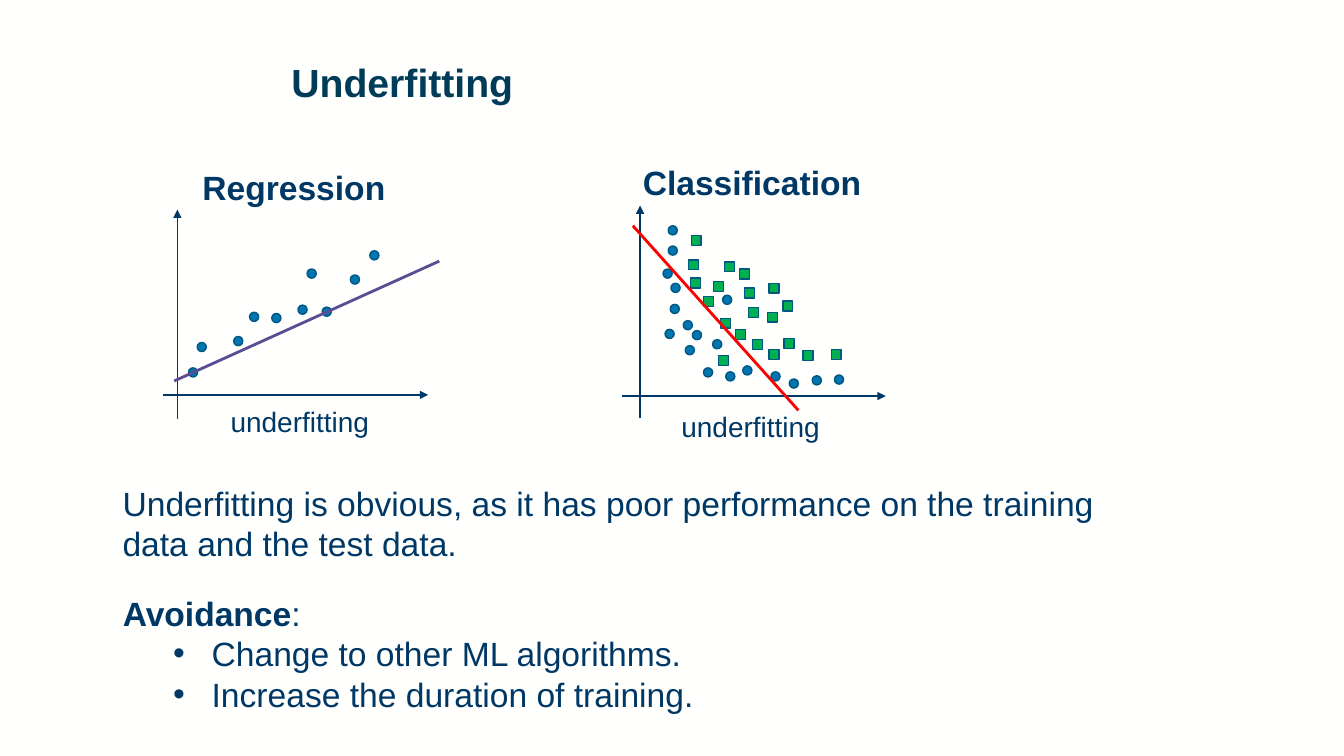
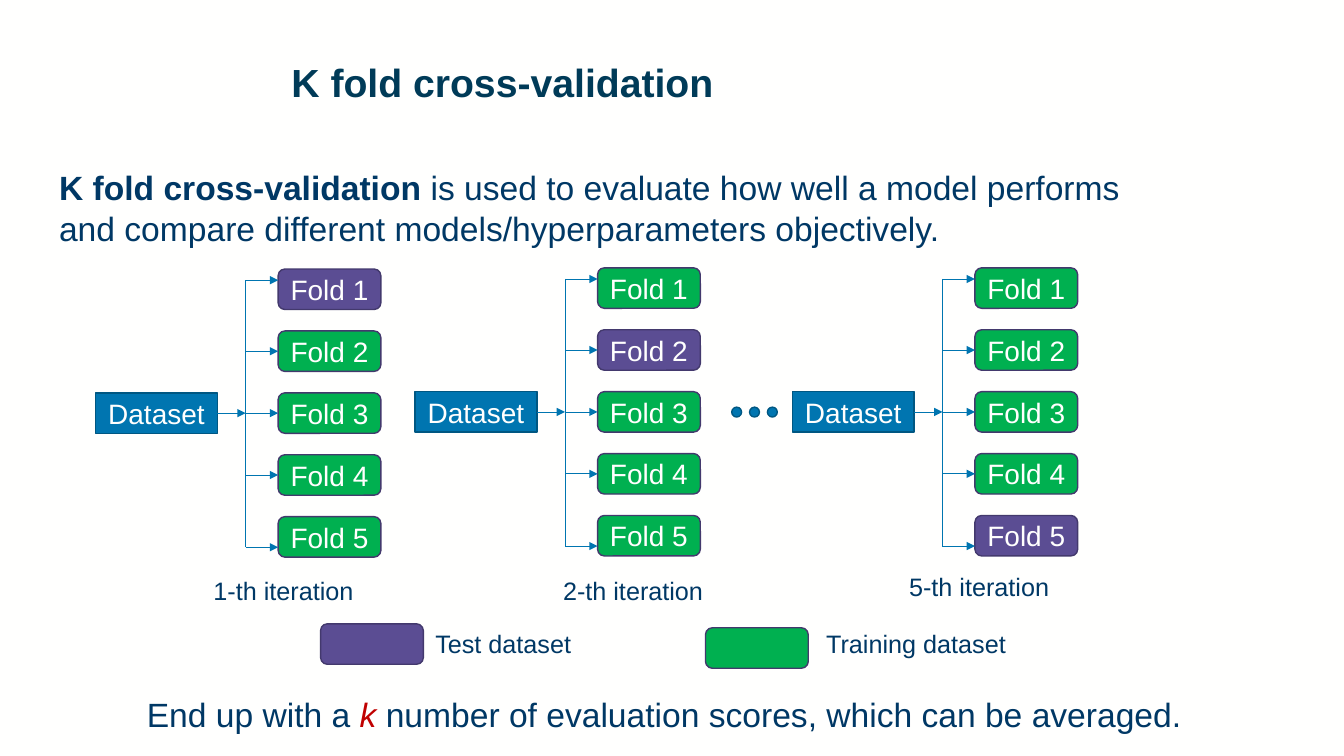
from lxml import etree
from pptx import Presentation
from pptx.dml.color import RGBColor
from pptx.enum import shapes, text
from pptx.oxml import ns
from pptx.util import Cm, Pt

FONT = "Arial"
PAPER, TITLE, NAVY = "FFFFFE", "003B58", "003865"
BLUE, BLUE_EDGE = "0075B0", "005782"
GREEN, PURPLE, PURPLE_EDGE = "00B050", "5B4D93", "43396D"
RED, DARK_RED = "FF0000", "C00000"
SHAPE = shapes.MSO_SHAPE

REGRESSION_DOTS = [
    (0.86, 3.35), (1.78, 3.2), (2.18, 2.59), (3.4, 2.41), (3.63, 1.5),
    (4.72, 1.65), (5.21, 1.04), (4.01, 2.46), (0.64, 3.99), (2.74, 2.62),
]
CLASS_DOTS = [
    (1.09, 3.12), (1.6, 3.53), (2.06, 4.09), (1.04, 1.6), (1.22, 2.49),
    (1.78, 3.15), (1.55, 2.9), (2.29, 3.38), (2.54, 2.26), (3.05, 4.04),
    (1.17, 0.51), (1.24, 1.96), (2.62, 4.19), (3.76, 4.19), (4.8, 4.29),
    (1.17, 1.02), (4.22, 4.37), (5.36, 4.27),
]
CLASS_SQUARES = [
    (2.59, 1.42), (2.49, 2.84), (2.87, 3.12), (3.3, 3.38), (2.97, 1.6),
    (3.1, 2.08), (1.68, 1.37), (2.31, 1.91), (2.44, 3.78), (3.71, 1.96),
    (4.06, 2.41), (3.68, 2.69), (4.09, 3.35), (3.71, 3.63), (4.57, 3.66),
    (3.2, 2.57), (2.06, 2.29), (1.75, 0.76), (1.73, 1.83), (5.28, 3.63),
]


def rgb(value):
    return RGBColor.from_string(value)


def style_font(font, size, color=NAVY, bold=False, italic=False):
    font.name = FONT
    font.size = Pt(size)
    font.color.rgb = rgb(color)
    font.bold = bold
    font.italic = italic


def write_runs(paragraph, runs, size):
    for words, look in runs:
        run = paragraph.add_run()
        run.text = words
        style_font(run.font, size, **look)


def add_label(slide, box, runs, size):
    label = slide.shapes.add_textbox(*map(Cm, box))
    label.text_frame.word_wrap = True
    write_runs(label.text_frame.paragraphs[0], runs, size)


def add_block(parent, kind, box, fill, edge, words=""):
    block = parent.shapes.add_shape(kind, *map(Cm, box))
    block.shadow.inherit = False
    block.fill.solid()
    block.fill.fore_color.rgb = rgb(fill)
    block.line.color.rgb = rgb(edge)
    block.line.width = Pt(1)
    if words:
        frame = block.text_frame
        frame.text = words
        frame.vertical_anchor = text.MSO_ANCHOR.MIDDLE
        frame.paragraphs[0].alignment = text.PP_ALIGN.CENTER
        style_font(frame.paragraphs[0].runs[0].font, 20, PAPER)
    return block


def add_line(parent, start, end, color, width, arrow=False):
    line = parent.shapes.add_connector(
        shapes.MSO_CONNECTOR.STRAIGHT, *map(Cm, start + end))
    line.line.color.rgb = rgb(color)
    line.line.width = Pt(width)
    if arrow:
        head = etree.SubElement(line.line._get_or_add_ln(), ns.qn("a:tailEnd"))
        head.set("type", "triangle")
    etree.SubElement(line._element.spPr, ns.qn("a:effectLst"))
    return line


def place_placeholder(placeholder, box):
    placeholder.left, placeholder.top, placeholder.width, placeholder.height = map(Cm, box)
    frame = placeholder.text_frame
    frame.word_wrap = True
    frame.auto_size = text.MSO_AUTO_SIZE.NONE
    frame.vertical_anchor = text.MSO_ANCHOR.TOP
    return frame


def add_titled_slide(prs, layout, words):
    slide = prs.slides.add_slide(prs.slide_layouts[layout])
    frame = place_placeholder(slide.shapes.title, (7.09, 1.47, 25.58, 2.46))
    frame.text = words
    heading = frame.paragraphs[0]
    heading.alignment = text.PP_ALIGN.LEFT
    heading.line_spacing = 0.9
    style_font(heading.runs[0].font, 28, TITLE, bold=True)
    return slide


def add_plot(slide, box, origin, fit, fit_color, dots, squares=()):
    left, top, width, height = box
    plot = slide.shapes.add_group_shape()

    def at(x, y):
        return left + x, top + y

    axis_x, axis_y = origin
    add_line(plot, at(0, axis_y), at(width, axis_y), NAVY, 1, arrow=True)
    add_line(plot, at(axis_x, height), at(axis_x, 0), NAVY, 1, arrow=True)
    for dot in dots:
        add_block(plot, SHAPE.OVAL, at(*dot) + (0.23, 0.23), BLUE, BLUE_EDGE)
    for square in squares:
        add_block(plot, SHAPE.RECTANGLE, at(*square) + (0.25, 0.25), GREEN, BLUE_EDGE)
    add_line(plot, at(*fit[0]), at(*fit[1]), fit_color, 2)


def set_bullet(paragraph, margin, indent, mark=None):
    properties = paragraph._p.get_or_add_pPr()
    properties.set("marL", str(Cm(margin)))
    properties.set("indent", str(Cm(indent)))
    if mark:
        etree.SubElement(properties, ns.qn("a:buChar")).set("char", mark)
    else:
        etree.SubElement(properties, ns.qn("a:buNone"))


def fill_avoidance(body, box, remedies):
    frame = place_placeholder(body, box)
    heading = frame.paragraphs[0]
    heading.space_before = Pt(0)
    set_bullet(heading, 0, 0)
    write_runs(heading, [("Avoidance", {"bold": True}), (":", {})], 24)
    for remedy in remedies:
        item = frame.add_paragraph()
        item.text = remedy
        item.level = 1
        item.space_before = Pt(0)
        set_bullet(item, 2.24, -0.97, "•")
        style_font(item.runs[0].font, 24)


def add_iteration(slide, left, top, test_fold, caption_offset):
    pitch, height, trunk, fold_left = 1.56, 1.02, left + 3.78, left + 4.6
    middle = top + 2 * pitch + height / 2
    branch_top, branch_bottom = top + 0.28, top + 7.01
    dataset = add_block(slide, SHAPE.RECTANGLE, (left, top + 2 * pitch, 3.07, height),
                        BLUE, BLUE_EDGE, "Dataset")
    feed = add_line(slide, (left + 3.07, middle), (trunk, middle), BLUE, 0.5, arrow=True)
    feed.begin_connect(dataset, 3)
    add_line(slide, (trunk, branch_top), (trunk, branch_bottom), BLUE, 0.5)
    outer_branches = {1: branch_top, 5: branch_bottom}
    for number in range(1, 6):
        fold_top = top + (number - 1) * pitch
        fold = add_block(slide, SHAPE.ROUNDED_RECTANGLE, (fold_left, fold_top, 2.59, height),
                         PURPLE if number == test_fold else GREEN, PURPLE_EDGE,
                         f"Fold {number}")
        y = outer_branches.get(number, fold_top + height / 2)
        branch = add_line(slide, (trunk, y), (fold_left, y), BLUE, 0.5, arrow=True)
        if number not in outer_branches:
            branch.end_connect(fold, 1)
    dx, dy = caption_offset
    add_label(slide, (left + dx, top + dy, 4.7, 1.02),
              [(f"{test_fold}-th iteration", {})], 18)


def add_legend_entry(slide, left, top, color, words, label_offset):
    add_block(slide, SHAPE.ROUNDED_RECTANGLE, (left, top, 2.59, 1.02), color, PURPLE_EDGE)
    dx, dy = label_offset
    add_label(slide, (left + dx, top + dy, 5.4, 1.02), [(words, {})], 18)


def build_underfitting(prs):
    slide = add_titled_slide(prs, 1, "Underfitting")
    add_plot(slide, (4.11, 5.28, 6.68, 5.28), (0.36, 4.67),
             ((0.28, 4.32), (6.96, 1.3)), PURPLE, REGRESSION_DOTS)
    add_plot(slide, (15.67, 5.18, 6.65, 5.36), (0.46, 4.8),
             ((0.28, 0.51), (4.45, 5.16)), RED, CLASS_DOTS, CLASS_SQUARES)
    for words, left, top in (("Regression", 4.85, 4.09), ("Classification", 15.95, 3.96)):
        add_label(slide, (left, top, 6.4, 1.27), [(words, {"bold": True})], 24)
    for left, top in ((5.56, 10.08), (16.92, 10.19)):
        add_label(slide, (left, top, 4.5, 1.12), [("underfitting", {})], 20)
    add_label(slide, (2.84, 12.04, 26.82, 2.31),
              [("Underfitting is obvious, as it has poor performance on the "
                "training data and the test data.", {})], 24)
    fill_avoidance(slide.placeholders[1], (2.84, 14.81, 20.17, 3.33),
                   ["Change to other ML algorithms.", "Increase the duration of training."])


def build_cross_validation(prs):
    slide = add_titled_slide(prs, 5, "K fold cross-validation")
    add_label(slide, (1.24, 4.09, 27.69, 2.31),
              [("K fold cross-validation ", {"bold": True}),
               ("is used to evaluate how well a model performs and compare "
                "different models/hyperparameters objectively.", {})], 24)
    add_iteration(slide, 2.41, 6.78, 1, (2.72, 7.6))
    add_iteration(slide, 10.46, 6.75, 2, (3.48, 7.63))
    for step in range(3):
        add_block(slide, SHAPE.OVAL, (18.44 + 0.45 * step, 10.26, 0.25, 0.25),
                  BLUE, BLUE_EDGE)
    add_iteration(slide, 19.97, 6.75, 5, (2.69, 7.52))
    add_legend_entry(slide, 8.08, 15.72, PURPLE, "Test dataset", (2.64, -0.02))
    add_legend_entry(slide, 17.78, 15.82, GREEN, "Training dataset", (2.79, -0.1))
    add_label(slide, (3.45, 17.37, 27.69, 1.27),
              [("End up with a ", {}), ("k", {"color": DARK_RED, "italic": True}),
               (" number of evaluation scores, which can be averaged.", {})], 24)


def main():
    prs = Presentation()
    prs.slide_width, prs.slide_height = Cm(33.87), Cm(19.05)
    background = prs.slide_master.background.fill
    background.solid()
    background.fore_color.rgb = rgb(PAPER)
    build_underfitting(prs)
    build_cross_validation(prs)
    prs.save("out.pptx")


if __name__ == "__main__":
    main()
